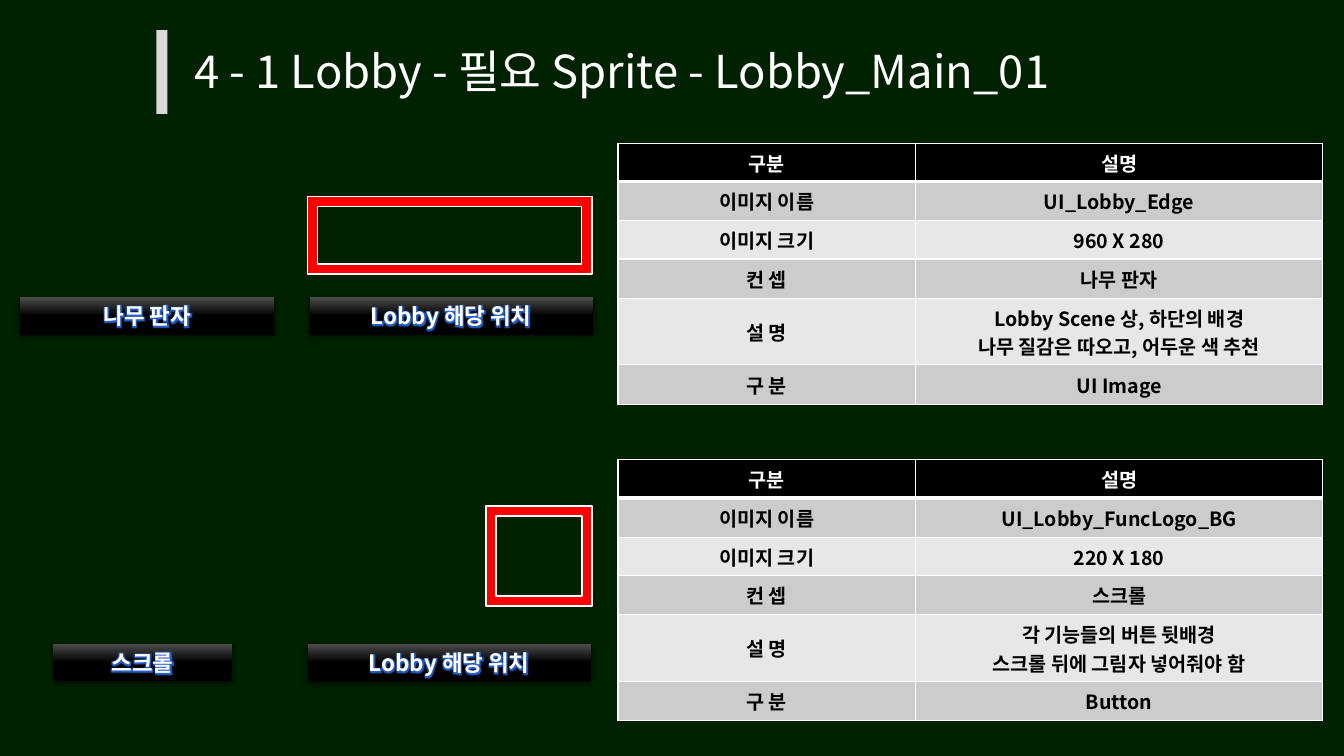
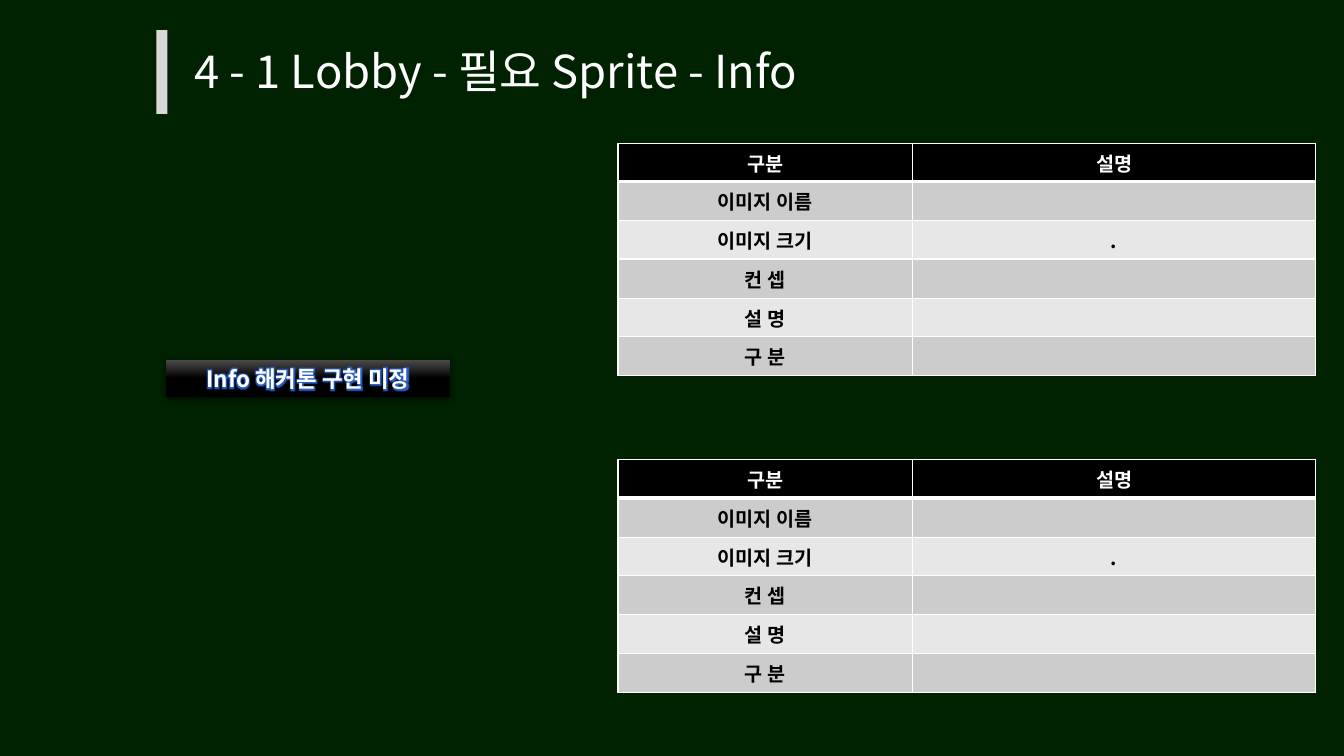
from dataclasses import dataclass

from lxml.etree import SubElement
from pptx import Presentation
from pptx.dml.color import RGBColor
from pptx.enum.shapes import MSO_SHAPE
from pptx.enum.text import MSO_ANCHOR, PP_ALIGN
from pptx.oxml.ns import qn
from pptx.shapes.autoshape import Shape
from pptx.slide import Slide
from pptx.table import _Cell as Cell
from pptx.text.text import TextFrame
from pptx.util import Emu, Pt

RECT, FRAME = MSO_SHAPE.RECTANGLE, MSO_SHAPE.FRAME
CENTER, LEFT = PP_ALIGN.CENTER, PP_ALIGN.LEFT
MIDDLE = MSO_ANCHOR.MIDDLE
SCALE = 9144  # EMU per px, 100 px to the inch


@dataclass(frozen=True)
class Theme:
    font: str = "Noto Sans CJK KR"
    back: str = "002200"
    white: str = "FFFFFF"
    black: str = "000000"
    bar: str = "D9D9D9"
    mark: str = "FF0000"
    sheen: str = "4B4B4B"
    glow: str = "2F6BDF"
    odd: str = "CCCCCC"
    even: str = "E7E7E7"
    title: float = 32.4
    label: float = 16
    cell: float = 14
    thin: float = 1
    thick: float = 3


THEME = Theme()


@dataclass(frozen=True)
class Box:
    left: int
    top: int
    width: int
    height: int


@dataclass(frozen=True)
class Label:
    text: str
    left: int
    top: int
    width: int


@dataclass(frozen=True)
class Grid:
    top: int
    values: tuple[str, ...]


@dataclass(frozen=True)
class Page:
    title: str
    cols: tuple[int, int]
    grids: tuple[Grid, ...]
    labels: tuple[Label, ...]
    frames: tuple[Box, ...] = ()


HEADS = ("구분", "설명")
KEYS = ("이미지 이름", "이미지 크기", "컨 셉", "설 명", "구 분")
GRID_LEFT, ROW, LINE, LABEL_H, EDGE = 613, 38, 28, 37, 10
GRID_TOPS = (142, 456)
BAR = Box(155, 30, 11, 83)
TITLE = Box(183, 43, 973, 61)
VOID = ("", ".", "", "", "")

PAGES = (
    Page(
        "4 - 1 Lobby - 필요 Sprite - Lobby_Main_01",
        (295, 404),
        (
            Grid(GRID_TOPS[0], (
                "UI_Lobby_Edge", "960 X 280", "나무 판자",
                "Lobby Scene 상, 하단의 배경\n나무 질감은 따오고, 어두운 색 추천",
                "UI Image")),
            Grid(GRID_TOPS[1], (
                "UI_Lobby_FuncLogo_BG", "220 X 180", "스크롤",
                "각 기능들의 버튼 뒷배경\n스크롤 뒤에 그림자 넣어줘야 함",
                "Button")),
        ),
        (
            Label("나무 판자", 20, 295, 252),
            Label("Lobby 해당 위치", 307, 295, 281),
            Label("스크롤", 53, 639, 177),
            Label("Lobby 해당 위치", 305, 639, 281),
        ),
        (Box(305, 195, 282, 77), Box(482, 502, 105, 99)),
    ),
    Page(
        "4 - 1 Lobby - 필요 Sprite - Info",
        (292, 400),
        tuple(Grid(top, VOID) for top in GRID_TOPS),
        (Label("Info 해커톤 구현 미정", 165, 357, 281),),
    ),
)


def px(size: int) -> Emu:
    return Emu(size * SCALE)


def place(box: Box) -> tuple[Emu, ...]:
    return px(box.left), px(box.top), px(box.width), px(box.height)


def rgb(code: str) -> RGBColor:
    return RGBColor.from_string(code)


def add_tint(node, code: str, alpha: int) -> None:
    tint = SubElement(node, qn("a:srgbClr"), val=code)
    SubElement(tint, qn("a:alpha"), val=str(alpha * 1000))


def write(frame: TextFrame, text: str, size: float, color: str,
          bold: bool = False, align: PP_ALIGN = CENTER,
          glow: bool = False) -> None:
    """Fill a text frame, one paragraph per line of text."""
    for index, line in enumerate(text.split("\n")):
        para = frame.paragraphs[0] if index == 0 else frame.add_paragraph()
        para.alignment = align
        if not line:
            SubElement(para._p, qn("a:endParaRPr"), sz=str(int(size * 100)))
            continue
        run = para.add_run()
        run.text = line
        font = run.font
        font.size, font.bold, font.name = Pt(size), bold, THEME.font
        font.color.rgb = rgb(color)
        props = run._r.get_or_add_rPr()
        SubElement(props, qn("a:ea"), typeface=THEME.font)
        if glow:
            effects = SubElement(props, qn("a:effectLst"))
            halo = SubElement(effects, qn("a:glow"), rad=str(Pt(5)))
            add_tint(halo, THEME.glow, 90)
            props.find(qn("a:latin")).addprevious(effects)


def add_block(slide: Slide, kind: MSO_SHAPE, box: Box) -> Shape:
    """Add a preset shape with neither shadow nor outline."""
    shape = slide.shapes.add_shape(kind, *place(box))
    shape.shadow.inherit = False
    shape.line.fill.background()
    return shape


def add_title(slide: Slide, text: str) -> None:
    bar = add_block(slide, RECT, BAR)
    bar.fill.solid()
    bar.fill.fore_color.rgb = rgb(THEME.bar)
    frame = slide.shapes.add_textbox(*place(TITLE)).text_frame
    frame.word_wrap = True
    frame.vertical_anchor = MIDDLE
    write(frame, text, THEME.title, THEME.white, align=LEFT)
    frame.paragraphs[0].line_spacing = 0.9


def add_frame(slide: Slide, box: Box) -> None:
    shape = add_block(slide, FRAME, box)
    shape.adjustments[0] = round(EDGE / min(box.width, box.height), 2)
    shape.fill.solid()
    shape.fill.fore_color.rgb = rgb(THEME.mark)
    shape.line.color.rgb = rgb(THEME.white)
    shape.line.width = Pt(THEME.thin)


def add_label(slide: Slide, label: Label) -> None:
    box = Box(label.left, label.top, label.width, LABEL_H)
    shape = add_block(slide, RECT, box)
    fill = shape.fill
    fill.gradient()
    fill.gradient_angle = 270
    stops = zip(fill.gradient_stops, (0, 0.5), (THEME.sheen, THEME.black))
    for stop, spot, color in stops:
        stop.position = spot
        stop.color.rgb = rgb(color)
    effects = shape.element.spPr.find(qn("a:effectLst"))
    shade = SubElement(effects, qn("a:outerShdw"), blurRad=str(Pt(4.5)),
                       dist=str(Pt(1.5)), dir="5400000", rotWithShape="0")
    add_tint(shade, THEME.black, 63)
    frame = shape.text_frame
    frame.word_wrap = True
    frame.vertical_anchor = MIDDLE
    write(frame, label.text, THEME.label, THEME.white, bold=True, glow=True)


def style_cell(cell: Cell, row: int) -> None:
    """Set borders, then fill, by the row the cell is in."""
    props = cell._tc.get_or_add_tcPr()
    widths = {
        "lnL": THEME.thin,
        "lnR": THEME.thin,
        "lnT": THEME.thick if row == 1 else THEME.thin,
        "lnB": THEME.thick if row == 0 else THEME.thin,
    }
    for side, width in widths.items():
        line = SubElement(props, qn(f"a:{side}"), w=str(Pt(width)))
        paint = SubElement(line, qn("a:solidFill"))
        SubElement(paint, qn("a:srgbClr"), val=THEME.white)
    band = THEME.odd if row % 2 else THEME.even
    cell.fill.solid()
    cell.fill.fore_color.rgb = rgb(band if row else THEME.black)
    cell.vertical_anchor = MIDDLE


def row_height(row: int, texts: tuple[str, ...]) -> int:
    """Give odd rows one px more, and each extra line of text its room."""
    extra = max(text.count("\n") for text in texts)
    return ROW + row % 2 + LINE * extra


def add_grid(slide: Slide, grid: Grid, cols: tuple[int, int]) -> None:
    rows = (HEADS, *zip(KEYS, grid.values))
    sizes = [row_height(row, texts) for row, texts in enumerate(rows)]
    box = Box(GRID_LEFT, grid.top, sum(cols), sum(sizes))
    table = slide.shapes.add_table(len(rows), len(cols), *place(box)).table
    for col, width in zip(table.columns, cols):
        col.width = px(width)
    for row, texts in enumerate(rows):
        table.rows[row].height = px(sizes[row])
        for col, text in enumerate(texts):
            cell = table.cell(row, col)
            style_cell(cell, row)
            color = THEME.black if row else THEME.white
            write(cell.text_frame, text, THEME.cell, color, bold=True)


def main() -> None:
    deck = Presentation()
    deck.slide_width, deck.slide_height = px(1333), px(750)
    for page in PAGES:
        slide = deck.slides.add_slide(deck.slide_layouts[6])
        slide.background.fill.solid()
        slide.background.fill.fore_color.rgb = rgb(THEME.back)
        add_title(slide, page.title)
        for grid in page.grids:
            add_grid(slide, grid, page.cols)
        for box in page.frames:
            add_frame(slide, box)
        for label in page.labels:
            add_label(slide, label)
    deck.save("out.pptx")


if __name__ == "__main__":
    main()
